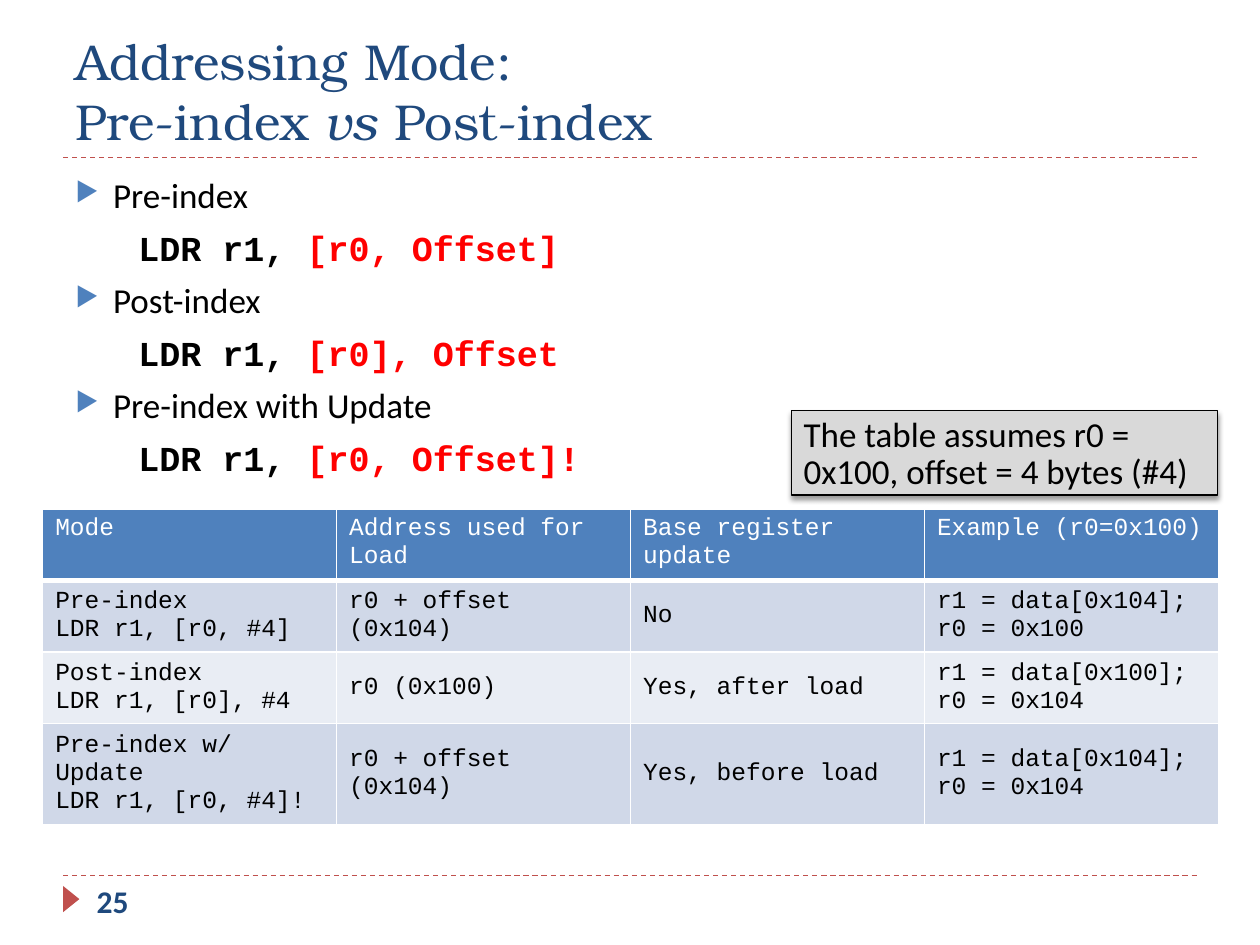
from dataclasses import dataclass

from lxml.etree import SubElement
from pptx import Presentation
from pptx.dml.color import RGBColor
from pptx.enum.dml import MSO_LINE_DASH_STYLE as Dash
from pptx.enum.shapes import MSO_CONNECTOR as Connector, MSO_SHAPE as Shape
from pptx.enum.text import MSO_ANCHOR as Anchor, PP_ALIGN as Align
from pptx.oxml.ns import qn
from pptx.util import Cm, Pt

COLORS = {
    "navy": "1F497D", "blue": "4F81BD", "red": "C0504D", "code red": "FF0000",
    "band dark": "D0D8E8", "band light": "E9EDF4", "gray": "D9D9D9",
    "black": "000000", "white": "FFFFFF",
}
HEAD, BODY, CODE = "TeX Gyre Bonum", "Calibri", "Courier New"


@dataclass
class Mode:
    name: str
    operand: str


@dataclass
class Row:
    cells: list[str]
    fill: str
    color: str = "black"
    anchor: Anchor = Anchor.MIDDLE


MODES = [
    Mode("Pre-index", "[r0, Offset]"),
    Mode("Post-index", "[r0], Offset"),
    Mode("Pre-index with Update", "[r0, Offset]!"),
]
ROWS = [
    Row(["Mode", "Address used for Load", "Base register update", "Example (r0=0x100)"],
        "blue", "white", Anchor.TOP),
    Row(["Pre-index\nLDR r1, [r0, #4]", "r0 + offset (0x104)", "No",
         "r1 = data[0x104];\nr0 = 0x100"], "band dark"),
    Row(["Post-index\nLDR r1, [r0], #4", "r0 (0x100)", "Yes, after load",
         "r1 = data[0x100];\nr0 = 0x104"], "band light"),
    Row(["Pre-index w/ Update\nLDR r1, [r0, #4]!", "r0 + offset (0x104)",
         "Yes, before load", "r1 = data[0x104];\nr0 = 0x104"], "band dark"),
]


def rgb(name: str) -> RGBColor:
    return RGBColor.from_string(COLORS[name])


def style(font, face: str, size: float, color: str, bold: bool = False) -> None:
    font.name, font.size, font.bold = face, Pt(size), bold
    font.color.rgb = rgb(color)


def add_box(page, left: float, top: float, width: float, height: float):
    frame = page.shapes.add_textbox(Cm(left), Cm(top), Cm(width), Cm(height)).text_frame
    frame.word_wrap = True
    return frame


def add_span(para, text: str):
    span = para.add_run()
    span.text = text
    return span


def add_rule(page, top: float) -> None:
    rule = page.shapes.add_connector(Connector.STRAIGHT, Cm(1.27), Cm(top), Cm(24.13), Cm(top))
    rule.line.color.rgb = rgb("red")
    rule.line.width = Pt(0.75)
    rule.line.dash_style = Dash.DASH
    SubElement(rule._element.spPr, qn("a:effectLst"))


def add_bullet(para) -> None:
    props = para._p.get_or_add_pPr()
    props.set("marL", str(Cm(0.76)))
    props.set("indent", str(-Cm(0.76)))
    color = SubElement(props, qn("a:buClr"))
    SubElement(color, qn("a:srgbClr"), val=COLORS["blue"])
    SubElement(props, qn("a:buSzPct"), val="76000")
    SubElement(props, qn("a:buChar"), char="▶")


def add_modes(page, modes: list[Mode]) -> None:
    frame = add_box(page, 1.27, 3.38, 22.86, 13.72)
    for index, mode in enumerate(modes):
        name = frame.add_paragraph() if index else frame.paragraphs[0]
        add_bullet(name)
        add_span(name, mode.name)
        style(name.font, BODY, 20, "black")
        if index:
            name.space_before = Pt(6)

        code = frame.add_paragraph()
        code.space_before = Pt(6)
        add_span(code, "\tLDR r1, ")
        style(code.font, CODE, 20, "black", True)
        add_span(code, mode.operand).font.color.rgb = rgb("code red")


def set_borders(cell, top: float, bottom: float) -> None:
    props = cell._tc.get_or_add_tcPr()
    for side, width in {"L": 1, "R": 1, "T": top, "B": bottom}.items():
        line = SubElement(props, qn(f"a:ln{side}"), w=str(Pt(width)))
        fill = SubElement(line, qn("a:solidFill"))
        SubElement(fill, qn("a:srgbClr"), val=COLORS["white"])


def add_mode_table(page, rows: list[Row]) -> None:
    table = page.shapes.add_table(len(rows), len(rows[0].cells), Cm(0.86), Cm(10.26),
                                  Cm(23.7), Cm(1.04 * len(rows))).table
    for row_index, row in enumerate(rows):
        for column_index, text in enumerate(row.cells):
            cell = table.cell(row_index, column_index)
            # The heavier rule lies between the header and the first row
            set_borders(cell, 3 if row_index == 1 else 1, 3 if row_index == 0 else 1)
            cell.fill.solid()
            cell.fill.fore_color.rgb = rgb(row.fill)
            cell.vertical_anchor = row.anchor
            cell.text_frame.text = text
            for para in cell.text_frame.paragraphs:
                style(para.font, CODE, 14, row.color)


def add_note(page, text: str) -> None:
    note = page.shapes.add_shape(Shape.RECTANGLE, Cm(15.95), Cm(8.28), Cm(8.59), Cm(1.7))
    note.fill.solid()
    note.fill.fore_color.rgb = rgb("gray")
    note.line.color.rgb = rgb("black")
    note.line.width = Pt(0.75)
    note.shadow.inherit = False
    effects = note._element.spPr.find(qn("a:effectLst"))
    shadow = SubElement(effects, qn("a:outerShdw"), blurRad=str(Pt(3)), dist=str(Pt(2)),
                        dir="5400000", rotWithShape="0")
    color = SubElement(shadow, qn("a:srgbClr"), val=COLORS["black"])
    SubElement(color, qn("a:alpha"), val="40000")

    frame = note.text_frame
    frame.word_wrap = True
    frame.vertical_anchor = Anchor.TOP
    para = frame.paragraphs[0]
    para.alignment = Align.LEFT
    para.line_spacing = 0.9
    add_span(para, text)
    style(para.font, BODY, 20, "black")


def add_title(page) -> None:
    frame = add_box(page, 1.27, 0.43, 22.86, 2.74)
    frame.vertical_anchor = Anchor.BOTTOM
    para = frame.paragraphs[0]
    add_span(para, "Addressing Mode:")
    para.add_line_break()
    add_span(para, "Pre-index ")
    add_span(para, "vs").font.italic = True
    add_span(para, " Post-index")
    style(para.font, HEAD, 28.8, "navy")


def add_page_number(page, number: int) -> None:
    marker = page.shapes.add_shape(Shape.ISOSCELES_TRIANGLE, Cm(1.17), Cm(17.96),
                                   Cm(0.53), Cm(0.33))
    marker.rotation = 90
    marker.fill.solid()
    marker.fill.fore_color.rgb = rgb("red")
    marker.line.fill.background()
    marker.shadow.inherit = False
    para = add_box(page, 1.7, 17.65, 5.51, 1.02).paragraphs[0]
    add_span(para, str(number))
    style(para.font, BODY, 18, "navy", True)


def main() -> None:
    deck = Presentation()
    deck.slide_width, deck.slide_height = Cm(25.4), Cm(19.05)
    page = deck.slides.add_slide(deck.slide_layouts[6])

    # Frame of the page
    for top in (17.65, 3.18):
        add_rule(page, top)
    add_title(page)
    add_page_number(page, 25)

    # Content
    add_modes(page, MODES)
    add_mode_table(page, ROWS)
    add_note(page, "The table assumes r0 = 0x100, offset = 4 bytes (#4)")
    deck.save("out.pptx")


if __name__ == "__main__":
    main()
